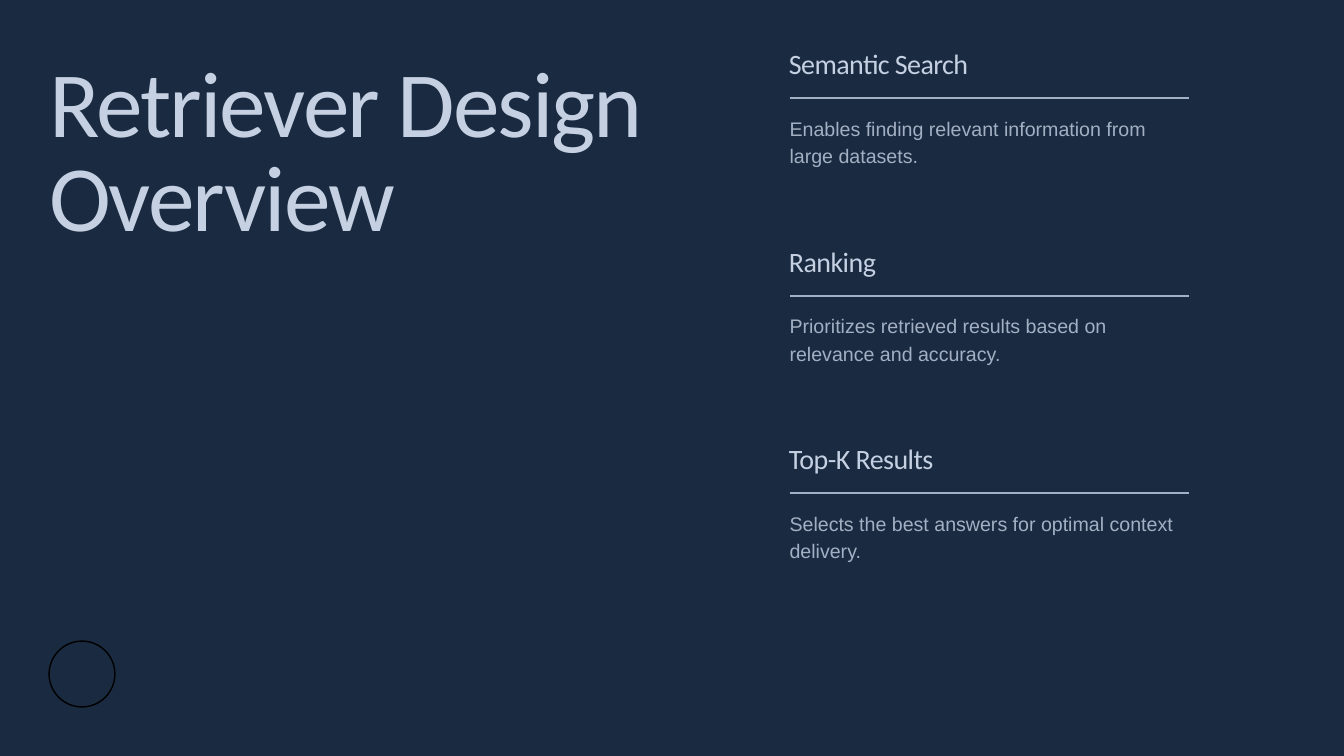
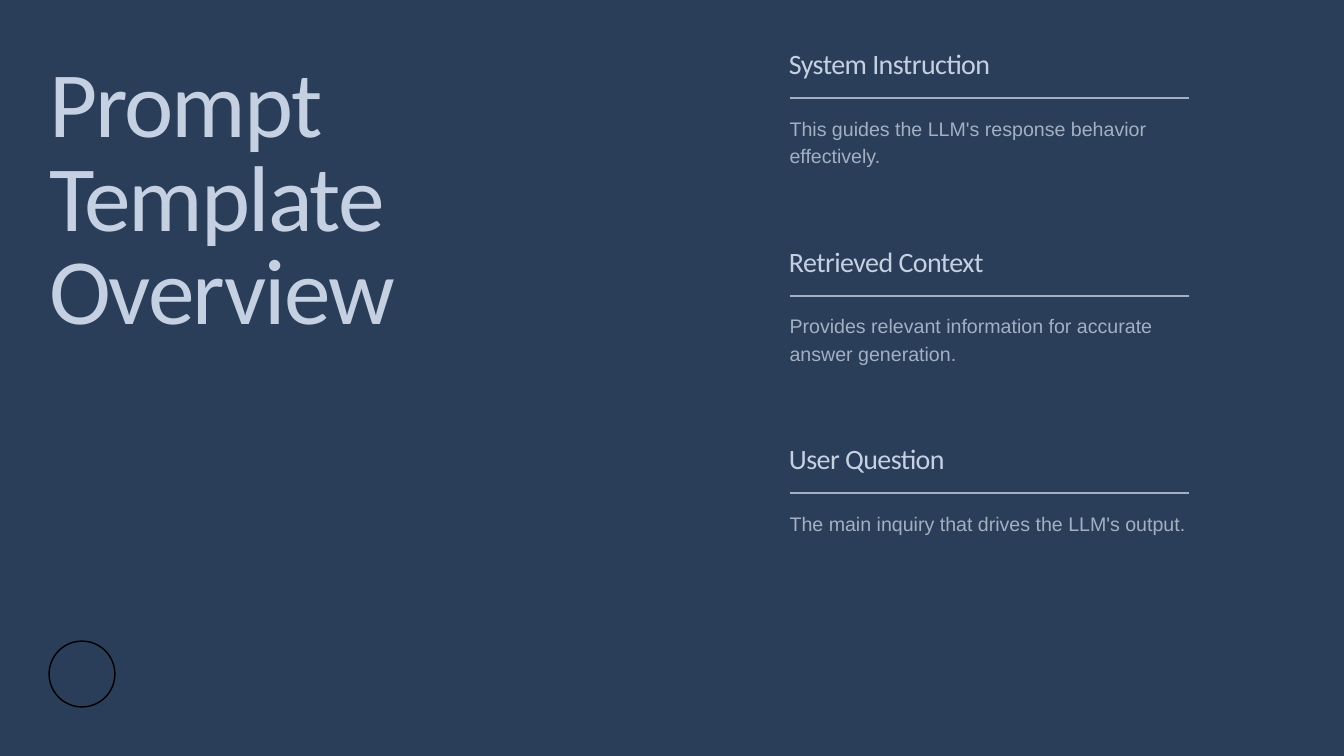
import dataclasses

import pptx
import pptx.dml.color
import pptx.enum.shapes
import pptx.enum.text
import pptx.oxml.ns
import pptx.util
from lxml import etree

Inches = pptx.util.Inches
Pt = pptx.util.Pt


@dataclasses.dataclass(frozen=True)
class Theme:
    """Colours, and per text role: font values, colour, line pitch, letter gap."""
    night: str = "1A2A40"
    dusk: str = "2A3E59"
    pale: str = "C5D1E3"
    mist: str = "A3B0C3"
    ring: str = "000000"

    def role(self, name):
        return {
            "title": ({"name": "Calibri", "size": Pt(100)}, self.pale, 100, -2),
            "head": ({"name": "Calibri", "size": Pt(30)}, self.pale, 30, -0.6),
            "body": ({"name": "Arial", "size": Pt(21)}, self.mist, 29.4, 0),
        }[name]


def assign(target, values):
    for key, value in values.items():
        setattr(target, key, value)


def tint(text):
    return pptx.dml.color.RGBColor.from_string(text)


class Deck:
    def __init__(self, theme):
        self.theme = theme
        self.show = pptx.Presentation()
        assign(self.show, {"slide_width": Inches(20), "slide_height": Inches(11.25)})
        self.slide = None

    def page(self, color):
        self.slide = self.show.slides.add_slide(self.show.slide_layouts[6])
        fill = self.slide.background.fill
        fill.solid()
        fill.fore_color.rgb = tint(color)

    def text(self, parent, role, words, *box):
        font, color, pitch, gap = self.theme.role(role)
        frame = parent.shapes.add_textbox(*map(Inches, box)).text_frame
        assign(frame, {
            "margin_left": 0, "margin_top": 0, "margin_right": 0, "margin_bottom": 0,
            "word_wrap": True,
            "auto_size": pptx.enum.text.MSO_AUTO_SIZE.SHAPE_TO_FIT_TEXT,
        })
        para = frame.paragraphs[0]
        para.line_spacing = Pt(pitch)
        run = para.add_run()
        run.text = words
        assign(run.font, font)
        run.font.color.rgb = tint(color)
        if gap:
            run.font._element.set("spc", str(round(gap * 100)))

    def rule(self, parent, left, top, width):
        line = parent.shapes.add_connector(
            pptx.enum.shapes.MSO_CONNECTOR.STRAIGHT,
            Inches(left), Inches(top), Inches(left + width), Inches(top))
        line.line.width = Pt(2)
        line.line.color.rgb = tint(self.theme.mist)
        etree.SubElement(line._element.spPr, pptx.oxml.ns.qn("a:effectLst"))

    def circle(self, left, top, size):
        ring = self.slide.shapes.add_shape(
            pptx.enum.shapes.MSO_SHAPE.OVAL,
            Inches(left), Inches(top), Inches(size), Inches(size))
        ring.shadow.inherit = False
        ring.fill.background()
        ring.line.width = Pt(1.5)
        ring.line.color.rgb = tint(self.theme.ring)

    def topic(self, top, head, body, lines=2):
        """Group a heading, its rule and the note below it."""
        group = self.slide.shapes.add_group_shape()
        self.text(group, "head", head, 11.74, top, 5.96, 0.43)
        self.text(group, "body", body, 11.75, top + 0.9, 5.94, 0.4 * lines)
        self.rule(group, 11.75, top + 0.68, 5.95)

    def overview(self, color, title, topics):
        self.page(color)
        self.text(self.slide, "title", title, 0.73, 0.94, 9.1, 4.23)
        for row, topic in enumerate(topics):
            self.topic(0.78 + 2.94 * row, *topic)
        self.circle(0.73, 9.54, 0.98)


def main():
    theme = Theme()
    deck = Deck(theme)
    deck.overview(theme.night, "Retriever Design Overview", [
        ("Semantic Search", "Enables finding relevant information from large datasets."),
        ("Ranking", "Prioritizes retrieved results based on relevance and accuracy."),
        ("Top-K Results", "Selects the best answers for optimal context delivery."),
    ])
    deck.overview(theme.dusk, "Prompt Template Overview", [
        ("System Instruction", "This guides the LLM's response behavior effectively."),
        ("Retrieved Context", "Provides relevant information for accurate answer generation."),
        ("User Question", "The main inquiry that drives the LLM's output.", 1),
    ])
    deck.show.save("out.pptx")


if __name__ == "__main__":
    main()
